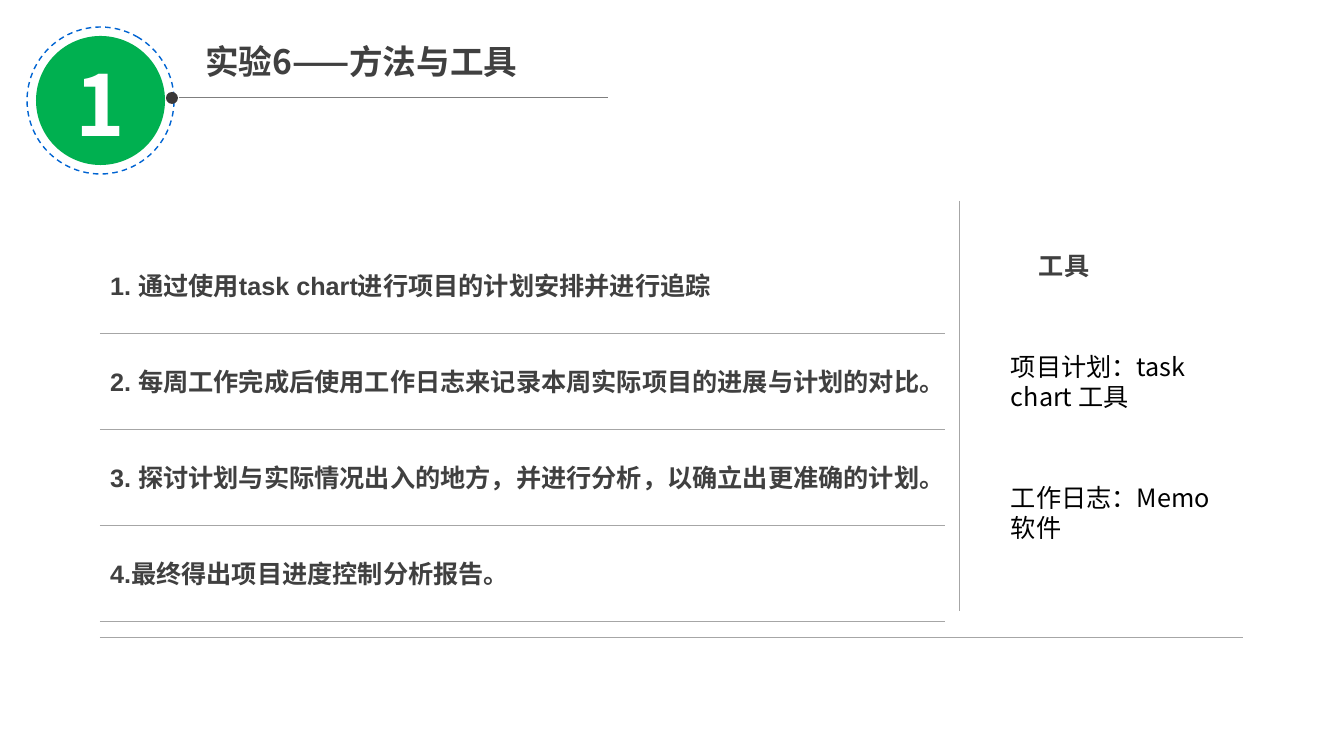
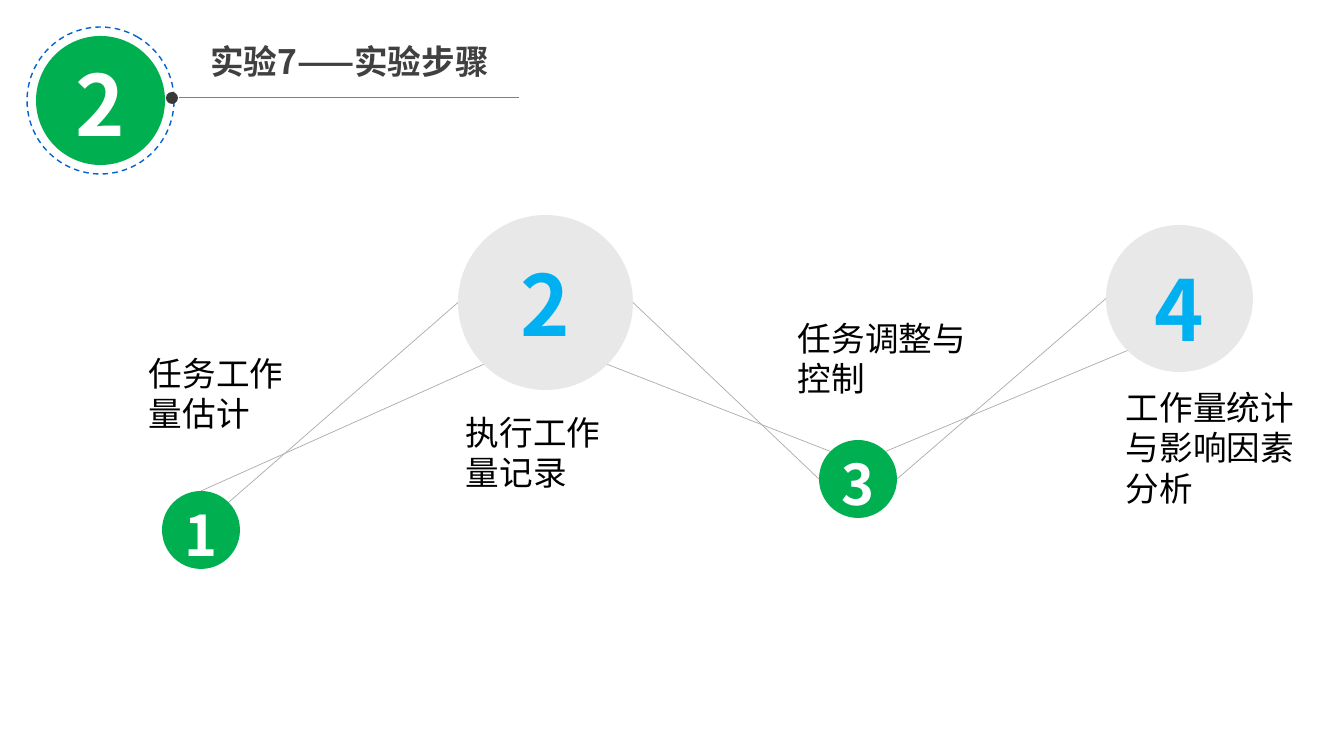
from math import cos, radians, sin
from typing import NamedTuple

from lxml.etree import SubElement
from pptx import Presentation
from pptx.dml.color import RGBColor
from pptx.enum.dml import MSO_LINE
from pptx.enum.shapes import MSO_CONNECTOR, MSO_SHAPE
from pptx.enum.text import MSO_ANCHOR, MSO_AUTO_SIZE, PP_ALIGN
from pptx.oxml.ns import qn
from pptx.util import Emu, Pt

GREEN = RGBColor(0x00, 0xB0, 0x50)
BLUE = RGBColor(0x00, 0x64, 0xD2)
SKY = RGBColor(0x00, 0xB0, 0xF0)
WHITE = RGBColor(0xFF, 0xFF, 0xFF)
BLACK = RGBColor(0x00, 0x00, 0x00)
INK = RGBColor(0x40, 0x40, 0x40)
DOT = RGBColor(0x3B, 0x38, 0x38)
TITLE_RULE = RGBColor(0x7F, 0x7F, 0x7F)
RULE = RGBColor(0xA6, 0xA6, 0xA6)
LINK = RGBColor(0xAF, 0xAB, 0xAB)
PALE = RGBColor(0xD0, 0xCE, 0xCE)
HAN_FONT = "Noto Sans CJK SC"
LATIN_FONT = "Arial"
EMU_PER_PIXEL = 914400 / 100.8
TITLE_AND_CONTENT, TITLE_ONLY = 1, 5


class Box(NamedTuple):
    left: float
    top: float
    width: float
    height: float

    def emu(self):
        return [pixels(length) for length in self]

    def rim(self, angle):
        radius = self.width / 2
        return (self.left + radius + radius * cos(radians(angle)),
                self.top + radius + radius * sin(radians(angle)))


def pixels(length):
    return Emu(round(length * EMU_PER_PIXEL))


def add_span(para, text, size, color, bold=False, font=HAN_FONT):
    span = para.add_run()
    span.text = text
    span.font.size = Pt(size)
    span.font.bold = bold
    span.font.name = font
    span.font.color.rgb = color
    SubElement(span.font._element, qn("a:ea")).set("typeface", HAN_FONT)


def set_frame(frame, anchor=MSO_ANCHOR.TOP):
    frame.word_wrap = True
    frame.auto_size = MSO_AUTO_SIZE.NONE
    frame.vertical_anchor = anchor


def place(holder, box):
    holder.left, holder.top, holder.width, holder.height = box.emu()
    set_frame(holder.text_frame)
    return holder.text_frame


def add_label(page, box, lines, size, **style):
    frame = page.shapes.add_textbox(*box.emu()).text_frame
    set_frame(frame)
    for index, line in enumerate(lines):
        para = frame.add_paragraph() if index else frame.paragraphs[0]
        add_span(para, line, size, **style)


def add_line(page, start, end, color, width):
    line = page.shapes.add_connector(
        MSO_CONNECTOR.STRAIGHT, *(pixels(value) for value in (*start, *end)))
    line.line.color.rgb = color
    line.line.width = Pt(width)
    SubElement(line._element.spPr, qn("a:effectLst"))


def add_circle(page, box, fill=None, opacity=100):
    circle = page.shapes.add_shape(MSO_SHAPE.OVAL, *box.emu())
    circle.shadow.inherit = False
    circle.line.fill.background()
    if fill is None:
        circle.fill.background()
    else:
        circle.fill.solid()
        circle.fill.fore_color.rgb = fill
    if opacity < 100:
        color = circle._element.spPr.find(".//" + qn("a:srgbClr"))
        SubElement(color, qn("a:alpha")).set("val", str(opacity * 1000))
    return circle


def add_number(circle, number, size, color, drop=0):
    frame = circle.text_frame
    set_frame(frame, MSO_ANCHOR.MIDDLE)
    frame.word_wrap = False
    frame.margin_left = frame.margin_right = frame.margin_bottom = 0
    frame.margin_top = pixels(drop)
    para = frame.paragraphs[0]
    para.alignment = PP_ALIGN.CENTER
    add_span(para, str(number), size, color, bold=True)


def add_header(page, box, number, title, title_left):
    ring = add_circle(page, Box(box.left, box.top, box.height, box.height))
    ring.line.color.rgb = BLUE
    ring.line.width = Pt(1)
    ring.line.dash_style = MSO_LINE.DASH
    ring.rotation = 120
    badge = add_circle(page, Box(box.left + 9, box.top + 9, 129, 129), GREEN)
    add_number(badge, number, 60, WHITE, drop=4)
    add_circle(page, Box(box.left + 139, box.top + 65, 12, 12), DOT)
    rule_top = box.top + 70.5
    add_line(page, (box.left + 152, rule_top),
             (box.left + box.width, rule_top), TITLE_RULE, 0.5)
    frame = place(page.shapes.title, Box(title_left, box.top + 9, 420, 50))
    para = frame.paragraphs[0]
    para.alignment = PP_ALIGN.LEFT
    add_span(para, title, 24, INK, bold=True)


def add_methods(page, box, methods):
    pitch = box.height / len(methods)
    frame = place(page.placeholders[1],
                  Box(box.left, box.top + 28, box.width + 14, box.height))
    for index, method in enumerate(methods):
        para = frame.add_paragraph() if index else frame.paragraphs[0]
        para.line_spacing = Pt(22)
        para.space_before = Pt(0)
        para.space_after = Pt(pitch * 72 / 100.8 - 22)
        properties = para._element.get_or_add_pPr()
        properties.set("marL", "0")
        properties.set("indent", "0")
        SubElement(properties, qn("a:buNone"))
        add_span(para, method, 18, INK, bold=True, font=LATIN_FONT)
        rule_top = box.top + pitch * (index + 1)
        add_line(page, (box.left, rule_top),
                 (box.left + box.width, rule_top), RULE, 0.25)


def add_tools(page, box, heading, tools):
    add_line(page, (box.left, box.top),
             (box.left, box.top + box.height), RULE, 0.25)
    add_label(page, Box(box.left + 70, box.top + 44, 200, 40), [heading], 18,
              color=INK, bold=True, font=LATIN_FONT)
    for index, tool in enumerate(tools):
        add_label(page, Box(box.left + 42, box.top + 145 + 131 * index, 220, 72),
                  [tool], 18, color=BLACK)


def add_steps(page, box):
    circles = [Box(box.left + left, box.top + top, size, size)
               for left, top, size in ((0, 276, 78), (296, 0, 175),
                                       (657, 225, 78), (944, 10, 147))]
    labels = [
        (-23, 133, 166, ["任务工作量估计"]),
        (294, 192, 186, ["执行工作", "量记录"]),
        (626, 98, 212, ["任务调整与控制"]),
        (954, 167, 192, ["工作量统计与影响因素分析"]),
    ]
    links = [(0, -45, 1, 180), (0, -90, 1, 135), (1, 0, 2, 180),
             (1, 45, 2, -135), (2, -45, 3, 135), (2, 0, 3, 180)]
    for first, leaving, second, arriving in links:
        add_line(page, circles[first].rim(leaving),
                 circles[second].rim(arriving), LINK, 0.5)
    drops = (8, 0, 8, 18)
    for number, (circle, drop) in enumerate(zip(circles, drops), 1):
        if number % 2:
            add_number(add_circle(page, circle, GREEN), number, 40, WHITE, drop)
        else:
            add_number(add_circle(page, circle, PALE, 46), number, 60, SKY, drop)
    for left, top, width, lines in labels:
        add_label(page, Box(box.left + left, box.top + top, width, 132),
                  lines, 24, color=BLACK)


def build_methods_page(deck):
    page = deck.slides.add_slide(deck.slide_layouts[TITLE_AND_CONTENT])
    add_header(page, Box(27, 27, 581, 147), 1, "实验6——方法与工具", 195)
    add_methods(page, Box(100, 237, 845, 384), [
        "1. 通过使用task chart进行项目的计划安排并进行追踪",
        "2. 每周工作完成后使用工作日志来记录本周实际项目的进展与计划的对比。",
        "3. 探讨计划与实际情况出入的地方，并进行分析，以确立出更准确的计划。",
        "4.最终得出项目进度控制分析报告。",
    ])
    add_tools(page, Box(959, 201, 284, 410), "工具",
              ["项目计划：task chart 工具", "工作日志：Memo软件"])
    add_line(page, (100, 637), (1243, 637), RULE, 0.25)


def build_steps_page(deck):
    page = deck.slides.add_slide(deck.slide_layouts[TITLE_ONLY])
    add_header(page, Box(27, 27, 492, 147), 2, "实验7——实验步骤", 200)
    add_steps(page, Box(162, 215, 1091, 354))


deck = Presentation()
deck.slide_width, deck.slide_height = pixels(1344), pixels(756)
build_methods_page(deck)
build_steps_page(deck)
deck.save("out.pptx")
